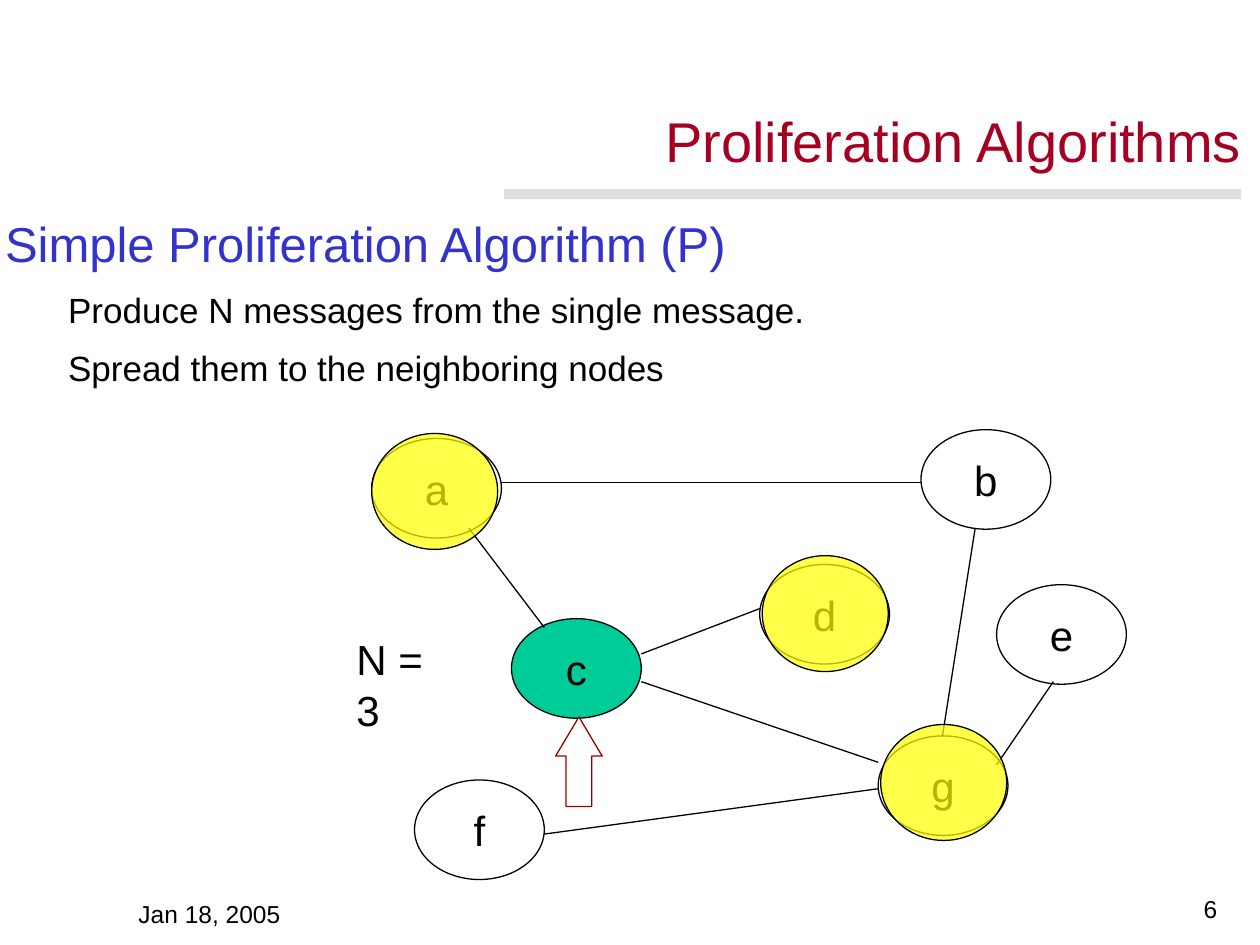
import pptx
import pptx.util
import pptx.dml.color
import pptx.oxml.ns
from lxml import etree
from pptx.enum.shapes import MSO_CONNECTOR, MSO_SHAPE
from pptx.enum.text import MSO_ANCHOR, PP_ALIGN

Inches, Pt = pptx.util.Inches, pptx.util.Pt

THEME = {
    "font": "Arial",
    "ink": "000000", "title": "A50021", "heading": "3333CC", "rule": "C0C0C0",
    "node": "FFFFFF", "source": "00CC99", "reached": "FFFF00", "arrow": "9A0000",
    "title_size": 32, "heading_size": 28, "body_size": 20, "label_size": 24, "footer_size": 14,
    "leading": 33.2, "line": 0.75,
}

TITLE = "Proliferation Algorithms"
BODY = [  # text, indent, size, colour
    ("Simple Proliferation Algorithm (P)", 0, "heading_size", "heading"),
    ("Produce N messages from the single message.", 0.5, "body_size", "ink"),
    ("Spread them to the neighboring nodes", 0.5, "body_size", "ink"),
]
NODE_SIZE = (1.03, 0.79)
NODES = {  # left, top
    "a": (2.95, 3.48), "c": (4.06, 4.91), "b": (7.31, 3.41), "f": (3.29, 6.19),
    "g": (6.97, 5.84), "d": (6.03, 4.48), "e": (7.91, 4.64),
}
SOURCE = "c"
EDGES = {  # where each link touches its two nodes
    "ac": ((3.72, 4.19), (4.32, 4.98)),
    "cg": ((5.09, 5.41), (6.97, 6.05)),
    "dc": ((6.03, 4.83), (5.09, 5.19)),
    "fg": ((4.32, 6.62), (6.97, 6.26)),
    "ab": ((3.98, 3.83), (7.31, 3.83)),
    "bg": ((7.74, 4.19), (7.48, 5.84)),
    "eg": ((8.36, 5.41), (7.91, 6.07)),
}
MESSAGE_SIZE = (1, 0.92)
MESSAGES = {"d": (6.05, 4.41), "a": (2.95, 3.44), "g": (6.99, 5.75)}
CAPTIONS = [  # text, box, size, alignment, anchor, wrap
    ("Jan 18, 2005", (1, 7.08, 2.08, 0.34), "footer_size",
     PP_ALIGN.LEFT, MSO_ANCHOR.BOTTOM, True),
    ("6", (7.68, 7.04, 2.08, 0.34), "footer_size",
     PP_ALIGN.RIGHT, MSO_ANCHOR.BOTTOM, True),
    ("N = 3", (2.73, 4.98, 1, 0.5), "label_size",
     PP_ALIGN.LEFT, MSO_ANCHOR.TOP, False),
]


def rgb(name):
    return pptx.dml.color.RGBColor.from_string(THEME[name])


def inches(values):
    return [Inches(value) for value in values]


def write(paragraph, text, size, colour, **layout):
    run = paragraph.add_run()
    run.text = text
    run.font.name, run.font.size = THEME["font"], Pt(THEME[size])
    run.font.color.rgb = rgb(colour)
    for attribute, value in layout.items():
        setattr(paragraph, attribute, value)


def set_frame(frame, **settings):
    for attribute, value in settings.items():
        setattr(frame, attribute, value)


def add_preset(slide, preset, box, fill, line=None, opacity=None, adjustments=()):
    shape = slide.shapes.add_shape(preset, *inches(box))
    shape.shadow.inherit = False
    for index, value in enumerate(adjustments):
        shape.adjustments[index] = value
    shape.fill.solid()
    shape.fill.fore_color.rgb = rgb(fill)
    if opacity:
        colour = shape.fill._xPr.find(".//" + pptx.oxml.ns.qn("a:srgbClr"))
        etree.SubElement(colour, pptx.oxml.ns.qn("a:alpha"), val=str(opacity * 1000))
    if line:
        shape.line.color.rgb = rgb(line)
        shape.line.width = Pt(THEME["line"])
    else:
        shape.line.fill.background()
    return shape


def add_edge(slide, start, end):
    edge = slide.shapes.add_connector(MSO_CONNECTOR.STRAIGHT, *inches(start + end))
    edge.line.color.rgb = rgb("ink")
    edge.line.width = Pt(THEME["line"])
    etree.SubElement(edge._element.spPr, pptx.oxml.ns.qn("a:effectLst"))


def add_heading(slide):
    no_margins = dict.fromkeys(
        ("margin_left", "margin_top", "margin_right", "margin_bottom"), 0)
    title = slide.shapes.title
    title.left, title.top, title.width, title.height = inches((5.28, 0.92, 4.73, 0.46))
    set_frame(title.text_frame, word_wrap=False, vertical_anchor=MSO_ANCHOR.TOP, **no_margins)
    write(title.text_frame.paragraphs[0], TITLE, "title_size", "title",
          alignment=PP_ALIGN.LEFT, line_spacing=Pt(THEME["leading"]))

    body = slide.shapes.add_textbox(*inches((0.04, 1.7, 9.88, 1.39))).text_frame
    set_frame(body, word_wrap=True, **no_margins)
    for row, (text, indent, size, colour) in enumerate(BODY):
        paragraph = body.add_paragraph() if row else body.paragraphs[0]
        paragraph._p.get_or_add_pPr().set("marL", str(Inches(indent)))
        write(paragraph, text, size, colour, line_spacing=Pt(THEME["leading"]))


def add_network(slide):
    for name, corner in NODES.items():
        node = add_preset(slide, MSO_SHAPE.OVAL, corner + NODE_SIZE,
                          "source" if name == SOURCE else "node", "ink")
        set_frame(node.text_frame, word_wrap=False, vertical_anchor=MSO_ANCHOR.MIDDLE)
        write(node.text_frame.paragraphs[0], name, "label_size", "ink",
              alignment=PP_ALIGN.CENTER)
    for start, end in EDGES.values():
        add_edge(slide, start, end)
    add_preset(slide, MSO_SHAPE.UP_ARROW, (4.41, 5.69, 0.37, 0.71), "node", "arrow",
               adjustments=(0.55, 0.84))
    for corner in MESSAGES.values():
        add_preset(slide, MSO_SHAPE.OVAL, corner + MESSAGE_SIZE, "reached", "ink", opacity=71)


def main():
    deck = pptx.Presentation()
    deck.slide_width, deck.slide_height = inches((10, 7.5))
    slide = deck.slides.add_slide(deck.slide_layouts[5])
    add_preset(slide, MSO_SHAPE.ROUNDED_RECTANGLE, (4, 1.5, 5.85, 0.08), "rule",
               opacity=50, adjustments=(0.02,))
    add_heading(slide)
    add_network(slide)
    for text, box, size, alignment, anchor, wrap in CAPTIONS:
        frame = slide.shapes.add_textbox(*inches(box)).text_frame
        set_frame(frame, word_wrap=wrap, vertical_anchor=anchor)
        write(frame.paragraphs[0], text, size, "ink", alignment=alignment)
    deck.save("out.pptx")


if __name__ == "__main__":
    main()
